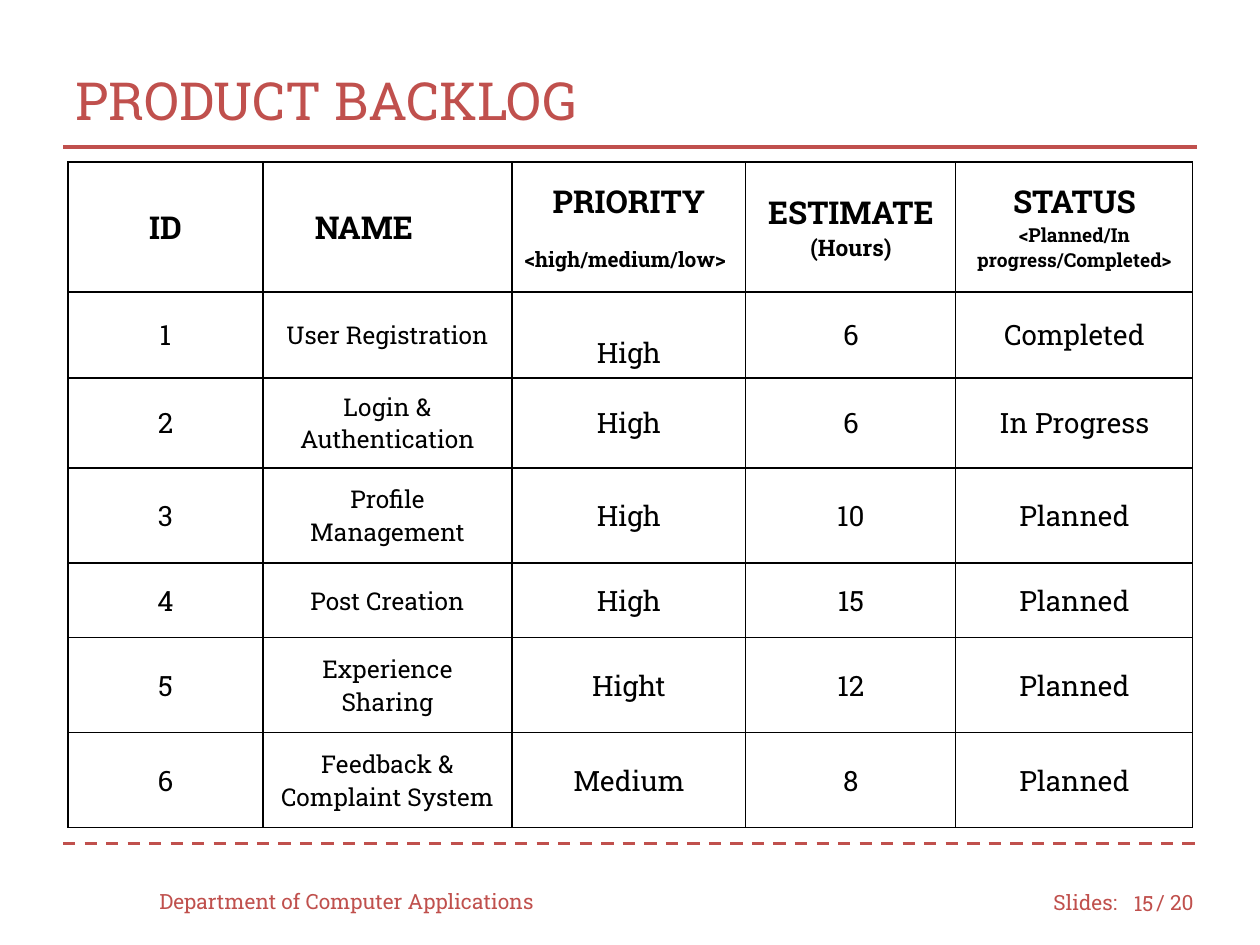
from lxml.etree import SubElement
from pptx import Presentation
from pptx.dml.color import RGBColor
from pptx.enum.dml import MSO_LINE
from pptx.enum.shapes import MSO_CONNECTOR
from pptx.enum.text import MSO_ANCHOR, PP_ALIGN
from pptx.oxml.ns import qn
from pptx.util import Emu, Pt

RED = RGBColor(0xC0, 0x50, 0x4D)
BLACK = RGBColor(0, 0, 0)
WHITE = RGBColor(255, 255, 255)
LEFT, CENTER, RIGHT = PP_ALIGN.LEFT, PP_ALIGN.CENTER, PP_ALIGN.RIGHT
FONT = "Roboto Slab"
PX_PER_INCH = 126

COLUMN_WIDTHS = [195, 249, 234, 210, 237]
ROW_HEIGHTS = [130, 86, 90, 95, 75, 95, 95]
BODY_SIZES = [16, 14, 16, 16, 16]
# Each heading: its lines with their sizes, and the alignment of each line.
HEADINGS = [
    ([("ID", 18)], [CENTER]),
    ([("NAME", 18)], [LEFT]),
    ([("PRIORITY", 18), ("<high/medium/low>", 12)], [CENTER, LEFT]),
    ([("ESTIMATE", 18), ("(Hours)", 13)], [CENTER, CENTER]),
    ([("STATUS", 18), ("<Planned/In progress/Completed>", 11)], [CENTER, CENTER]),
]
BACKLOG = [
    ("1", "User Registration", "High", "6", "Completed"),
    ("2", "Login & Authentication", "High", "6", "In Progress"),
    ("3", "Profile Management", "High", "10", "Planned"),
    ("4", "Post Creation", "High", "15", "Planned"),
    ("5", "Experience Sharing", "Hight", "12", "Planned"),
    ("6", "Feedback & Complaint System", "Medium", "8", "Planned"),
]


def px(length):
    return Emu(round(length * 914400 / PX_PER_INCH))


class SlideBuilder:
    def __init__(self, page):
        self.page = page

    def add_span(self, para, text, size, color, align=LEFT, bold=False):
        para.alignment = align
        span = para.add_run()
        span.text = text
        span.font.name = FONT
        span.font.size = Pt(size)
        span.font.bold = bold
        span.font.color.rgb = color

    def title(self, text, left, top, width, height):
        box = self.page.shapes.title
        box.left, box.top, box.width, box.height = map(px, (left, top, width, height))
        box.text_frame.vertical_anchor = MSO_ANCHOR.MIDDLE
        self.add_span(box.text_frame.paragraphs[0], text, 30, RED)

    def label(self, text, left, top, width, align=LEFT):
        box = self.page.shapes.add_textbox(*map(px, (left, top, width, 50)))
        frame = box.text_frame
        frame.word_wrap = True
        frame.vertical_anchor = MSO_ANCHOR.MIDDLE
        self.add_span(frame.paragraphs[0], text, 12, RED, align)

    def rule(self, y, dash=None):
        line = self.page.shapes.add_connector(
            MSO_CONNECTOR.STRAIGHT, px(63), px(y), px(1197), px(y))
        line.line.color.rgb = RED
        line.line.width = Pt(1.75)
        if dash:
            line.line.dash_style = dash
        SubElement(line._element.spPr, qn("a:effectLst"))

    def table(self, left, top, widths, heights):
        frame = self.page.shapes.add_table(
            len(heights), len(widths),
            *map(px, (left, top, sum(widths), sum(heights))))
        table = frame.table
        for column, width in zip(table.columns, widths):
            column.width = px(width)
        for row, height in zip(table.rows, heights):
            row.height = px(height)
        for cell in table.iter_cells():
            self.style_cell(cell)
        return table

    def style_cell(self, cell):
        cell.vertical_anchor = MSO_ANCHOR.MIDDLE
        cell.margin_left = cell.margin_right = px(12.6)
        cell.margin_top = cell.margin_bottom = px(12.6)
        properties = cell._tc.get_or_add_tcPr()
        for side in ("lnL", "lnR", "lnT", "lnB"):
            border = SubElement(properties, qn(f"a:{side}"), w=str(Pt(0.75)))
            fill = SubElement(border, qn("a:solidFill"))
            SubElement(fill, qn("a:srgbClr"), val=str(BLACK))
        cell.fill.solid()
        cell.fill.fore_color.rgb = WHITE


def fill_backlog(builder, table):
    for column, (lines, aligns) in enumerate(HEADINGS):
        frame = table.cell(0, column).text_frame
        for index, ((text, size), align) in enumerate(zip(lines, aligns)):
            para = frame.add_paragraph() if index else frame.paragraphs[0]
            builder.add_span(para, text, size, BLACK, align, bold=True)
    table.cell(0, 1).margin_left = px(52)
    table.cell(0, 2).text_frame.paragraphs[1].space_before = Pt(13)

    for row, item in enumerate(BACKLOG, start=1):
        for column, (text, size) in enumerate(zip(item, BODY_SIZES)):
            para = table.cell(row, column).text_frame.paragraphs[0]
            builder.add_span(para, text, size, BLACK, CENTER)
    first_priority = table.cell(1, 2)
    first_priority.margin_top, first_priority.margin_bottom = px(42), px(6)


def main():
    deck = Presentation()
    deck.slide_width, deck.slide_height = px(1260), px(945)
    builder = SlideBuilder(deck.slides.add_slide(deck.slide_layouts[5]))
    builder.label("Slides:", 1041, 877, 95)
    builder.label("/ 20", 1144, 877, 73)
    builder.rule(844, MSO_LINE.DASH)
    builder.rule(147)
    builder.title("PRODUCT BACKLOG", 63, 42, 1134, 116)
    builder.label("Department of Computer Applications", 147, 876, 420)
    builder.label("15", 1113, 878, 53, RIGHT)
    fill_backlog(builder, builder.table(68, 162, COLUMN_WIDTHS, ROW_HEIGHTS))
    deck.save("out.pptx")


if __name__ == "__main__":
    main()
